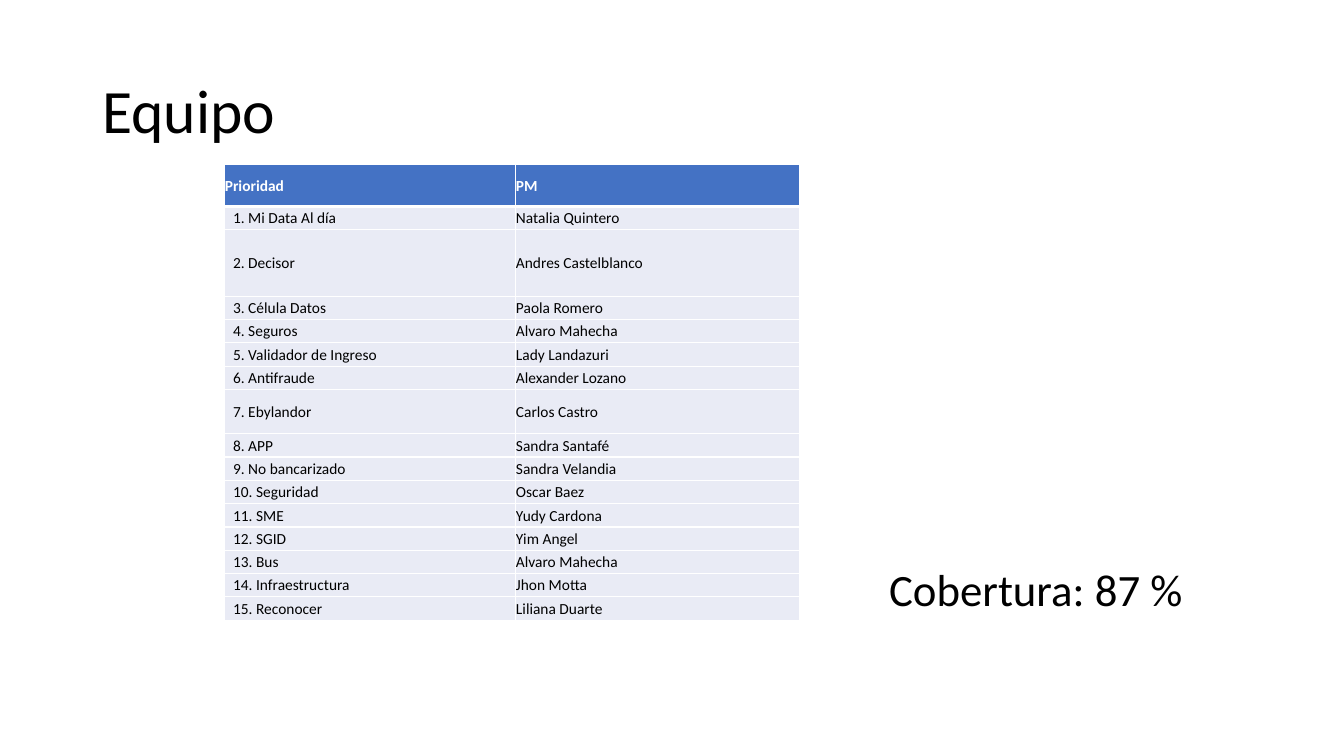
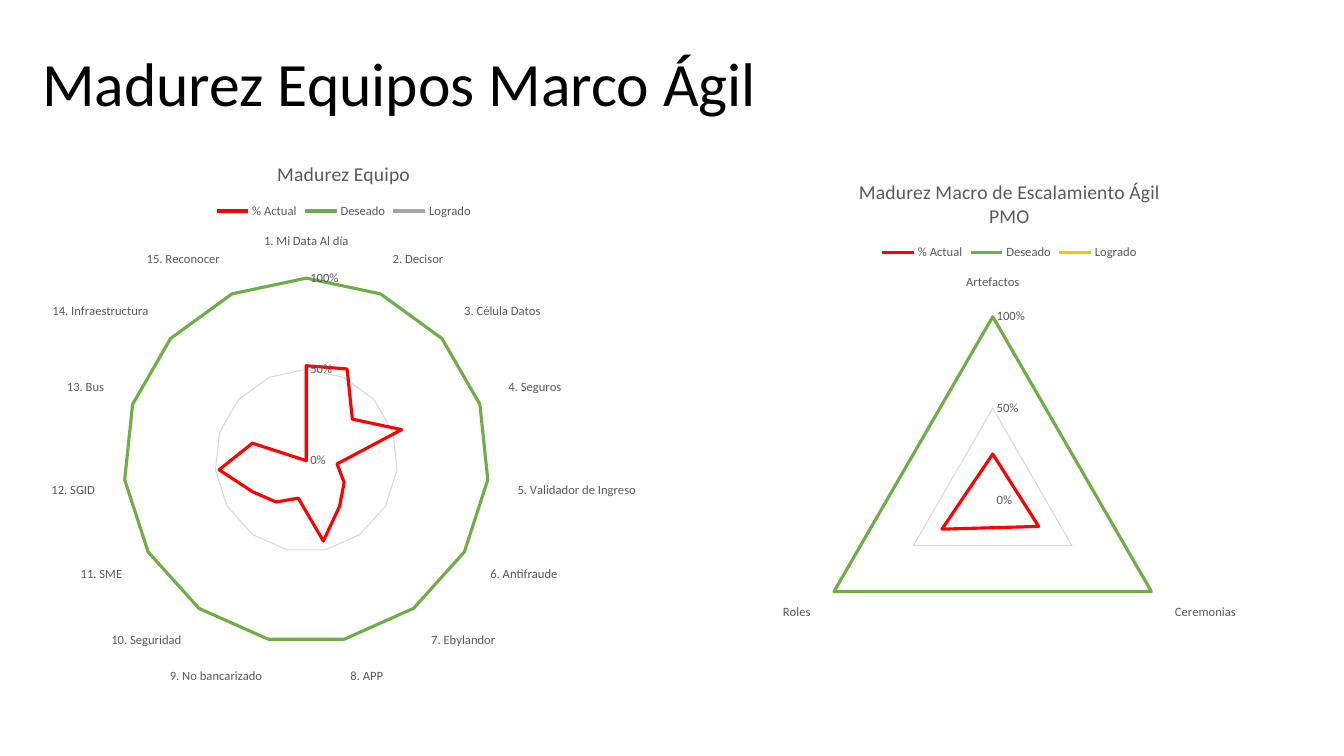
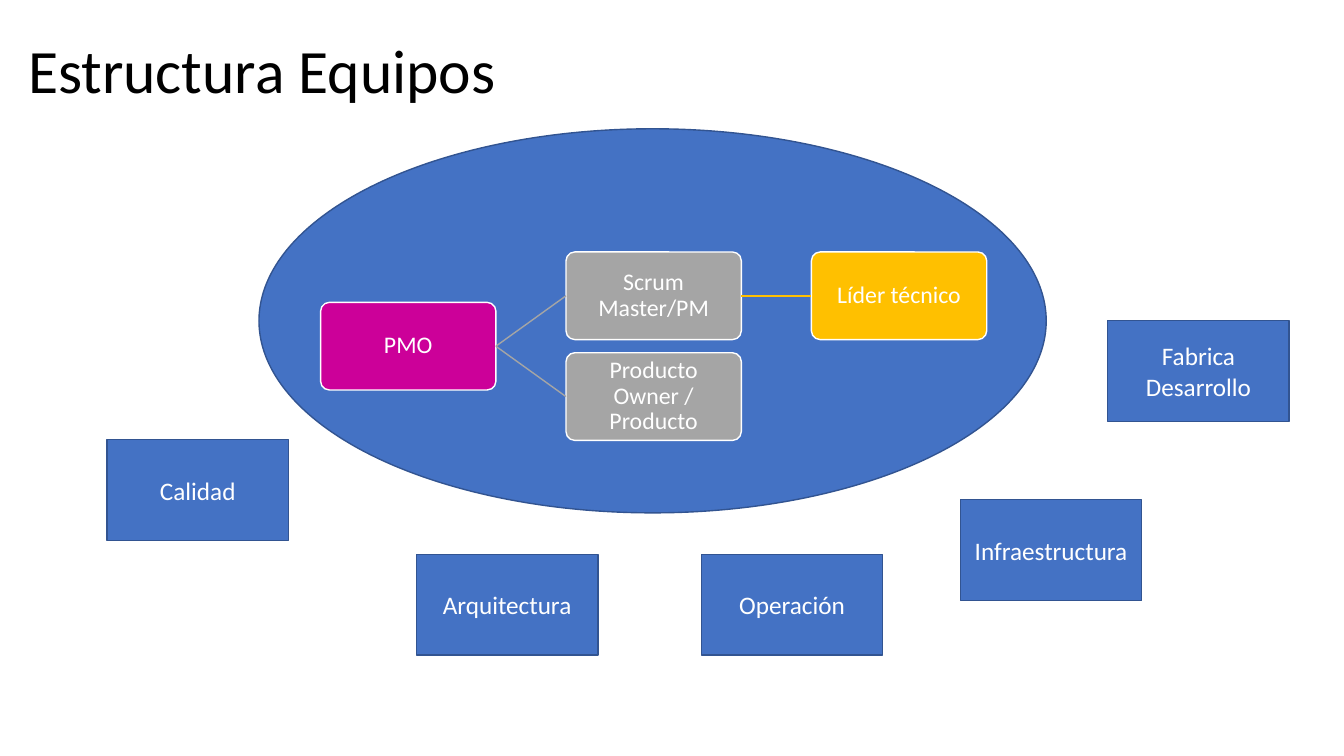
from dataclasses import dataclass
from typing import NamedTuple

from lxml import etree
from pptx import Presentation
from pptx.chart.data import CategoryChartData
from pptx.dml.color import RGBColor
from pptx.enum.chart import XL_CHART_TYPE, XL_LEGEND_POSITION, XL_TICK_MARK
from pptx.enum.shapes import MSO_CONNECTOR, MSO_SHAPE
from pptx.enum.text import MSO_ANCHOR, PP_ALIGN
from pptx.oxml.ns import qn
from pptx.util import Pt

RADAR = XL_CHART_TYPE.RADAR
LEGEND_TOP = XL_LEGEND_POSITION.TOP
NO_TICK = XL_TICK_MARK.NONE
STRAIGHT = MSO_CONNECTOR.STRAIGHT
ELLIPSE = MSO_SHAPE.OVAL
RECTANGLE = MSO_SHAPE.RECTANGLE
ROUNDED = MSO_SHAPE.ROUNDED_RECTANGLE
MIDDLE, TOP = MSO_ANCHOR.MIDDLE, MSO_ANCHOR.TOP
CENTER, LEFT = PP_ALIGN.CENTER, PP_ALIGN.LEFT
LEFT_SIDE, RIGHT_SIDE = 1, 3

FONT = "Calibri"
BLACK = RGBColor(0x00, 0x00, 0x00)
WHITE = RGBColor(0xFF, 0xFF, 0xFF)
BLUE = RGBColor(0x44, 0x72, 0xC4)
DARK_BLUE = RGBColor(0x32, 0x54, 0x91)
PALE_BLUE = RGBColor(0xE9, 0xEB, 0xF5)
MAGENTA = RGBColor(0xCC, 0x00, 0x99)
GRAY = RGBColor(0xA5, 0xA5, 0xA5)
LIGHT_GRAY = RGBColor(0xD9, 0xD9, 0xD9)
DARK_GRAY = RGBColor(0x59, 0x59, 0x59)
GOLD = RGBColor(0xFF, 0xC0, 0x00)
RED = RGBColor(0xFF, 0x00, 0x00)
GREEN = RGBColor(0x70, 0xAD, 0x47)


class Box(NamedTuple):
    left: float
    top: float
    width: float
    height: float

    def lengths(self) -> tuple:
        return tuple(Pt(value) for value in self)


@dataclass(frozen=True)
class Team:
    priority: str
    manager: str
    actual: float
    row_height: float = 16.65


@dataclass(frozen=True)
class Radar:
    box: Box
    title: tuple[str, ...]
    categories: list[str]
    actual: list[float]
    achieved_color: RGBColor


@dataclass(frozen=True)
class Role:
    name: str
    column: int
    row: int
    color: RGBColor


@dataclass(frozen=True)
class Area:
    name: str
    left: float
    top: float


TEAMS = [
    Team("1. Mi Data Al día", "Natalia Quintero", 0.52),
    Team("2. Decisor", "Andres Castelblanco", 0.55, 47.5),
    Team("3. Célula Datos", "Paola Romero", 0.34),
    Team("4. Seguros", "Alvaro Mahecha", 0.55),
    Team("5. Validador de Ingreso", "Lady Landazuri", 0.17),
    Team("6. Antifraude", "Alexander Lozano", 0.24),
    Team("7. Ebylandor", "Carlos Castro", 0.31, 31.7),
    Team("8. APP", "Sandra Santafé", 0.45),
    Team("9. No bancarizado", "Sandra Velandia", 0.21),
    Team("10. Seguridad", "Oscar Baez", 0.28),
    Team("11. SME", "Yudy Cardona", 0.34),
    Team("12. SGID", "Yim Angel", 0.48),
    Team("13. Bus", "Alvaro Mahecha", 0.31),
    Team("14. Infraestructura", "Jhon Motta", 0),
    Team("15. Reconocer", "Liliana Duarte", 0),
]
HEADER = Team("Prioridad", "PM", 0, 30)
COLUMN_WIDTHS = (208, 203)

RADARS = [
    Radar(Box(0, 100, 491, 396), ("Madurez Equipo",),
          [team.priority for team in TEAMS], [team.actual for team in TEAMS], GRAY),
    Radar(Box(461.5, 114, 519, 381.6), ("Madurez Macro de Escalamiento Ágil", "PMO"),
          ["Artefactos", "Ceremonias", "Roles"], [0.25, 0.29, 0.32], GOLD),
]

# Rows count half steps, so that the first role sits between the next two.
ROLES = [
    Role("PMO", 0, 1, MAGENTA),
    Role("Scrum Master/PM", 1, 0, GRAY),
    Role("Líder técnico", 2, 0, GOLD),
    Role("Producto Owner / Producto", 1, 2, GRAY),
]
ROLE_LINKS = [(0, 1), (1, 2), (0, 3)]
ROLE_GRID = Box(229, 180, 125.2, 62.6)
ROLE_STEP_X, ROLE_STEP_Y = 175.3, 36

AREAS = [
    Area("Arquitectura", 297.5, 396),
    Area("Operación", 501, 396),
    Area("Infraestructura", 686, 357),
    Area("Calidad", 76.5, 314),
    Area("Fabrica Desarrollo", 791.3, 229),
]
AREA_WIDTH, AREA_HEIGHT = 129.6, 72


def style_font(font, size: float, color: RGBColor, bold: bool = False) -> None:
    font.name = FONT
    font.size = Pt(size)
    font.color.rgb = color
    font.bold = bold


def write(frame, text: str, size: float, color: RGBColor, align=LEFT, anchor=MIDDLE,
          spacing: float = 1.0, bold: bool = False) -> None:
    frame.word_wrap = True
    frame.vertical_anchor = anchor
    paragraph = frame.paragraphs[0]
    paragraph.alignment = align
    paragraph.line_spacing = spacing
    run = paragraph.add_run()
    run.text = text
    style_font(run.font, size, color, bold)


def set_margins(target, left: float, top: float, right: float, bottom: float) -> None:
    target.margin_left, target.margin_top = Pt(left), Pt(top)
    target.margin_right, target.margin_bottom = Pt(right), Pt(bottom)


def add_titled_slide(deck, title: str, left: float, top: float):
    slide = deck.slides.add_slide(deck.slide_layouts[6])
    box = slide.shapes.add_textbox(*Box(left, top, 828, 104.4).lengths())
    write(box.text_frame, title, 44, BLACK, spacing=0.9)
    return slide


def add_filled_shape(slide, kind, box: Box, fill: RGBColor, line: RGBColor):
    shape = slide.shapes.add_shape(kind, *box.lengths())
    shape.shadow.inherit = False
    shape.fill.solid()
    shape.fill.fore_color.rgb = fill
    shape.line.color.rgb = line
    shape.line.width = Pt(1)
    return shape


def set_borders(cell, top: float, bottom: float) -> None:
    """Draw white cell borders; must run before the cell is filled."""
    properties = cell._tc.get_or_add_tcPr()
    for side, width in (("L", 1), ("R", 1), ("T", top), ("B", bottom)):
        line = etree.SubElement(properties, qn(f"a:ln{side}"), w=str(Pt(width)))
        fill = etree.SubElement(line, qn("a:solidFill"))
        etree.SubElement(fill, qn("a:srgbClr"), val=str(WHITE))


def add_team_table(slide) -> None:
    rows = [HEADER, *TEAMS]
    box = Box(160, 117.5, sum(COLUMN_WIDTHS), sum(row.row_height for row in rows))
    table = slide.shapes.add_table(len(rows), len(COLUMN_WIDTHS), *box.lengths()).table
    table.horz_banding = False
    for column, width in zip(table.columns, COLUMN_WIDTHS):
        column.width = Pt(width)
    for r, team in enumerate(rows):
        is_header = r == 0
        table.rows[r].height = Pt(team.row_height)
        for c, text in enumerate((team.priority, team.manager)):
            cell = table.cell(r, c)
            set_borders(cell, top=3 if r == 1 else 1, bottom=3 if is_header else 1)
            cell.fill.solid()
            cell.fill.fore_color.rgb = BLUE if is_header else PALE_BLUE
            set_margins(cell, 0.6 if is_header or c else 6.5, 0.6, 0.6, 0)
            cell.vertical_anchor = MIDDLE
            run = cell.text_frame.paragraphs[0].add_run()
            run.text = text
            style_font(run.font, 11, WHITE if is_header else BLACK, is_header)


def add_radar(slide, radar: Radar) -> None:
    count = len(radar.categories)
    series_rows = [
        ("% Actual", radar.actual, RED),
        ("Deseado", [1] * count, GREEN),
        ("Logrado", [0] * count, radar.achieved_color),
    ]
    data = CategoryChartData(number_format="0%")
    data.categories = radar.categories
    for name, values, _ in series_rows:
        data.add_series(name, values)
    chart = slide.shapes.add_chart(RADAR, *radar.box.lengths(), data).chart
    style_font(chart.font, 10, BLACK)

    chart.has_title = True
    title = chart.chart_title.text_frame
    for index, text in enumerate(radar.title):
        paragraph = title.add_paragraph() if index else title.paragraphs[0]
        run = paragraph.add_run()
        run.text = text
        style_font(run.font, 14, DARK_GRAY)

    chart.has_legend = True
    chart.legend.position = LEGEND_TOP
    chart.legend.include_in_layout = False
    style_font(chart.legend.font, 9, DARK_GRAY)

    chart.plots[0].vary_by_categories = False
    for series, (_, _, color) in zip(chart.plots[0].series, series_rows):
        series.format.line.color.rgb = color
        series.format.line.width = Pt(2.25)

    spokes, scale = chart.category_axis, chart.value_axis
    for axis in (spokes, scale):
        axis.major_tick_mark = axis.minor_tick_mark = NO_TICK
        style_font(axis.tick_labels.font, 9, DARK_GRAY)
    spokes.has_major_gridlines = False
    scale.has_major_gridlines = True
    for line in (spokes.format.line, scale.major_gridlines.format.line):
        line.color.rgb = LIGHT_GRAY
        line.width = Pt(0.75)
    scale.format.line.fill.background()
    scale.minimum_scale, scale.maximum_scale, scale.major_unit = 0, 1, 0.5
    scale.tick_labels.number_format = "0%"
    scale.tick_labels.number_format_is_linked = False


def add_role(slide, role: Role):
    box = ROLE_GRID._replace(left=ROLE_GRID.left + role.column * ROLE_STEP_X,
                             top=ROLE_GRID.top + role.row * ROLE_STEP_Y)
    shape = add_filled_shape(slide, ROUNDED, box, role.color, WHITE)
    shape.adjustments[0] = 0.1
    set_margins(shape.text_frame, 0.7, 0.7, 0.7, 0.7)
    write(shape.text_frame, role.name, 17, WHITE, CENTER, spacing=0.9)
    return shape


def link(slide, start, end, color: RGBColor) -> None:
    connector = slide.shapes.add_connector(STRAIGHT, 0, 0, 0, 0)
    connector.begin_connect(start, RIGHT_SIDE)
    connector.end_connect(end, LEFT_SIDE)
    connector.line.color.rgb = color
    connector.line.width = Pt(1)
    etree.SubElement(connector._element.spPr, qn("a:effectLst"))


def build_team_slide(deck) -> None:
    slide = add_titled_slide(deck, "Equipo", 66, 28.75)
    add_team_table(slide)
    coverage = slide.shapes.add_textbox(*Box(628, 398, 234, 46).lengths())
    write(coverage.text_frame, "Cobertura: 87 %", 32, BLACK, anchor=TOP)


def build_maturity_slide(deck) -> None:
    slide = add_titled_slide(deck, "Madurez Equipos Marco Ágil", 23, 9.4)
    for radar in RADARS:
        add_radar(slide, radar)


def build_structure_slide(deck) -> None:
    slide = add_titled_slide(deck, "Estructura Equipos", 13, 0)
    add_filled_shape(slide, ELLIPSE, Box(185, 92, 562.3, 274.3), BLUE, DARK_BLUE)
    role_shapes = [add_role(slide, role) for role in ROLES]
    for start, end in ROLE_LINKS:
        link(slide, role_shapes[start], role_shapes[end], ROLES[end].color)
    for area in AREAS:
        box = Box(area.left, area.top, AREA_WIDTH, AREA_HEIGHT)
        shape = add_filled_shape(slide, RECTANGLE, box, BLUE, DARK_BLUE)
        write(shape.text_frame, area.name, 18, WHITE, CENTER)


def main() -> None:
    deck = Presentation()
    deck.slide_width, deck.slide_height = Pt(960), Pt(540)
    build_team_slide(deck)
    build_maturity_slide(deck)
    build_structure_slide(deck)
    deck.save("out.pptx")


if __name__ == "__main__":
    main()
